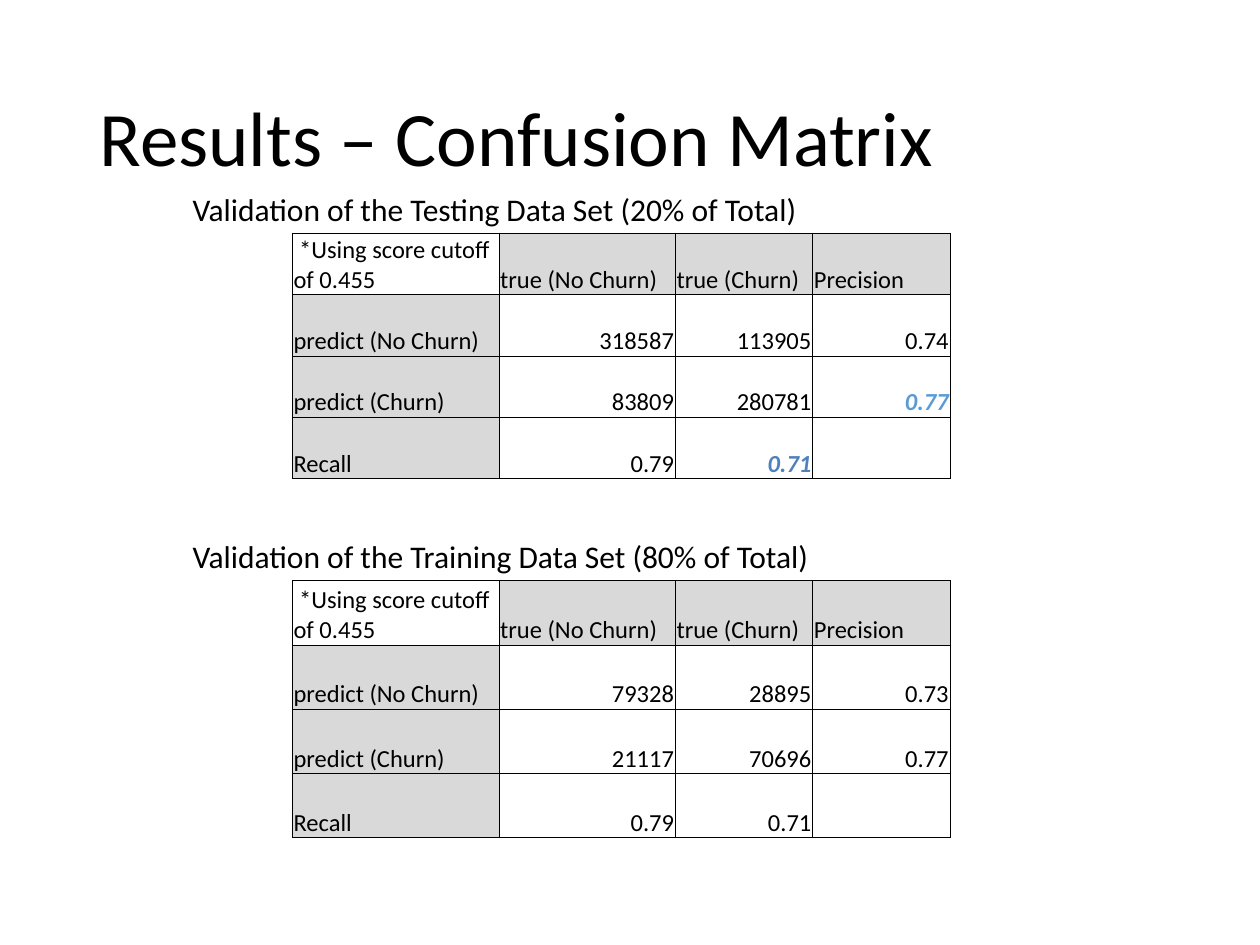
import pptx
import pptx.util
import pptx.dml.color
import pptx.enum.text
import pptx.oxml
import pptx.oxml.ns

Inches = pptx.util.Inches
Align = pptx.enum.text.PP_ALIGN
Anchor = pptx.enum.text.MSO_ANCHOR


def tint(color, code):
    color.rgb = pptx.dml.color.RGBColor.from_string(code)


def write(para, text, size, code="000000", strong=False):
    run = para.add_run()
    run.text = text
    run.font.name = "Calibri"
    run.font.size = pptx.util.Pt(size)
    run.font.bold = run.font.italic = strong
    tint(run.font.color, code)


deck = pptx.Presentation()
deck.slide_width, deck.slide_height = Inches(10), Inches(7.5)
slide = deck.slides.add_slide(deck.slide_layouts[5])

title = slide.shapes.title
title.left, title.top = Inches(0.69), Inches(0.4)
title.width, title.height = Inches(8.62), Inches(1.45)
title.text_frame.vertical_anchor = Anchor.MIDDLE
para = title.text_frame.paragraphs[0]
para.alignment = Align.LEFT
para.line_spacing = 0.9
write(para, "Results – Confusion Matrix", 44)

heads = ["\n".join([" *Using score cutoff", "of 0.455"]),
         "true (No Churn)", "true (Churn)", "Precision"]
sides = ["predict (No Churn)", "predict (Churn)", "Recall"]
widths = [1.64, 1.4, 1.09, 1.09]
border = ('<a:{0} {1} w="6350"><a:solidFill><a:srgbClr val="000000"/>'
          '</a:solidFill><a:prstDash val="solid"/></a:{0}>')
space = pptx.oxml.ns.nsdecls("a")

panels = [
    ("Validation of the Testing Data Set (20% of Total)", 1.46, 5.12, 1.85, 1.95,
     [["318587", "113905", "0.74"], ["83809", "280781", "0.77"], ["0.79", "0.71", ""]],
     {(2, 3): "5B9BD5", (3, 2): "4F81BD"}),
    ("Validation of the Training Data Set (80% of Total)", 4.21, 5.21, 4.61, 2.04,
     [["79328", "28895", "0.73"], ["21117", "70696", "0.77"], ["0.79", "0.71", ""]],
     {}),
]

for label, high, wide, top, tall, counts, marks in panels:
    grid = slide.shapes.add_table(4, 4, Inches(2.32), Inches(top),
                                  Inches(sum(widths)), Inches(tall)).table
    grid.first_row = grid.horz_banding = False
    for col, width in zip(grid.columns, widths):
        col.width = Inches(width)
    rows = [heads] + [[side] + line for side, line in zip(sides, counts)]
    for r, row in enumerate(rows):
        grid.rows[r].height = Inches(tall / 4)
        for c, text in enumerate(row):
            cell = grid.cell(r, c)
            cell.margin_left = cell.margin_right = cell.margin_top = Inches(0.01)
            cell.margin_bottom = 0
            cell.vertical_anchor = Anchor.BOTTOM
            props = cell._tc.get_or_add_tcPr()
            for edge in ("lnL", "lnR", "lnT", "lnB"):
                props.append(pptx.oxml.parse_xml(border.format(edge, space)))
            if (r == 0) != (c == 0):
                cell.fill.solid()
                tint(cell.fill.fore_color, "D9D9D9")
            else:
                cell.fill.background()
            frame = cell.text_frame
            for n, part in enumerate(text.split("\n") if text else []):
                para = frame.add_paragraph() if n else frame.paragraphs[0]
                para.alignment = Align.RIGHT if r and c else Align.LEFT
                write(para, part, 14, marks.get((r, c), "000000"), (r, c) in marks)

    box = slide.shapes.add_textbox(Inches(1.43), Inches(high), Inches(wide), Inches(0.4))
    box.text_frame.word_wrap = False
    box.text_frame.auto_size = pptx.enum.text.MSO_AUTO_SIZE.SHAPE_TO_FIT_TEXT
    write(box.text_frame.paragraphs[0], label, 18)

deck.save("out.pptx")
